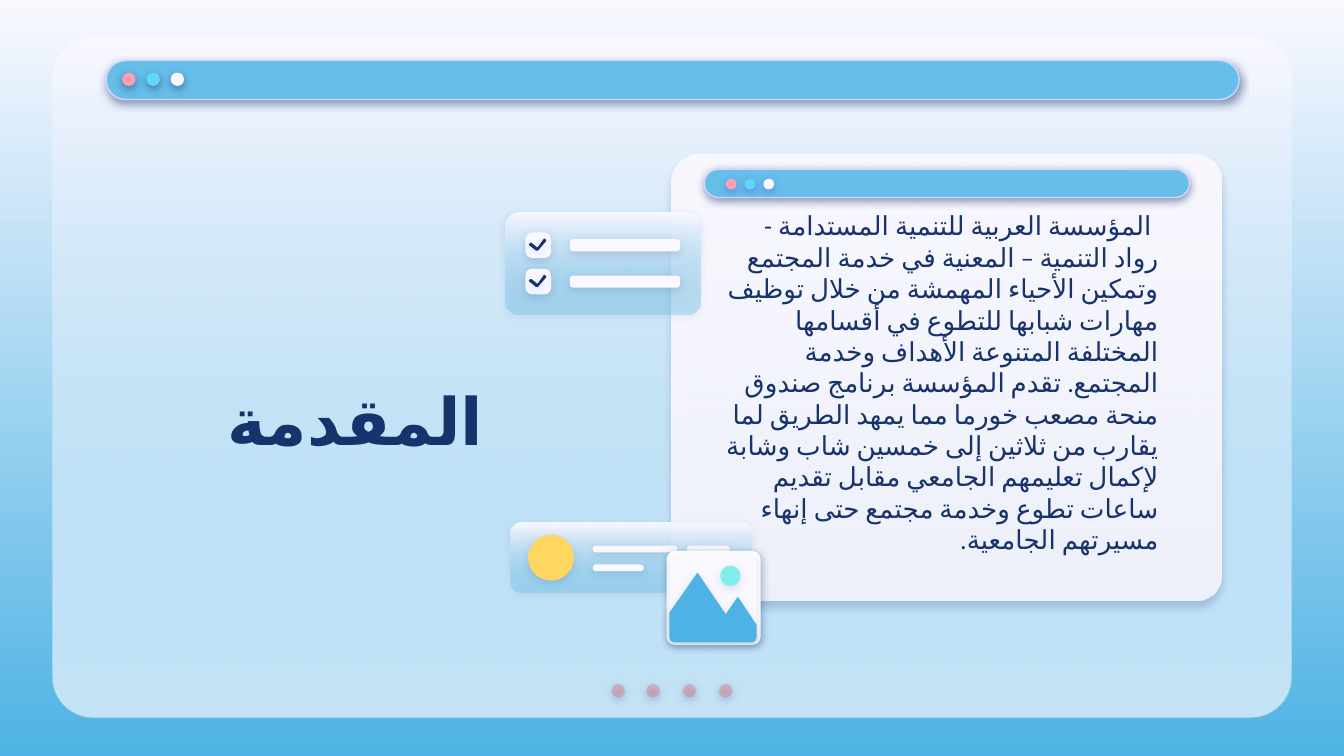
import pptx
import pptx.dml.color
import pptx.enum.lang
import pptx.enum.shapes
import pptx.enum.text
import pptx.oxml.ns
import pptx.util
from lxml import etree

PX = 9144  # EMU in one px, 100 px to the inch
RGB = pptx.dml.color.RGBColor
PALE = RGB(0xF9, 0xF8, 0xFF)
WHITE = RGB(0xFF, 0xFF, 0xFF)
BLUE = RGB(0x4E, 0xB3, 0xE4)
SKY = RGB(0x66, 0xBE, 0xE9)
NAVY = RGB(0x17, 0x33, 0x6B)
VIOLET = RGB(0x53, 0x52, 0xEE)
LILAC = RGB(0xD2, 0xD6, 0xFF)
PINK = RGB(0xFD, 0xA0, 0xB4)
ROSE = RGB(0xE2, 0x7B, 0x83)
CYAN = RGB(0x60, 0xD8, 0xF4)
MINT = RGB(0x81, 0xEE, 0xEB)
GOLD = RGB(0xFF, 0xD6, 0x5F)
ROUND = pptx.enum.shapes.MSO_SHAPE.ROUNDED_RECTANGLE
OVAL = pptx.enum.shapes.MSO_SHAPE.OVAL
ALIGN = pptx.enum.text.PP_ALIGN
qn = pptx.oxml.ns.qn
Pt = pptx.util.Pt

deck = pptx.Presentation()
deck.slide_width = 1000 * PX
deck.slide_height = deck.slide_width * 9 // 16
slide = deck.slides.add_slide(deck.slide_layouts[5])
shapes = slide.shapes


def paint(shape, color, end=None, alpha=100, line=None, shade=0,
          tint=NAVY, dist=1.5, angle=90):
    """Fill a shape (down to end, if given); alpha and shade are opacities in percent."""
    fill = shape.fill
    if end is None:
        fill.solid()
        fill.fore_color.rgb = color
    else:
        fill.gradient()
        fill.gradient_angle = 270
        for stop, rgb, place in zip(fill.gradient_stops, (color, end), (0, 1)):
            stop.color.rgb = rgb
            stop.position = place
    if alpha < 100:
        last = list(shape._element.spPr.iter(qn("a:srgbClr")))[-1]
        etree.SubElement(last, qn("a:alpha"), val=str(alpha * 1000))
    if line is None:
        shape.line.fill.background()
    else:
        shape.line.color.rgb = line
        shape.line.width = Pt(0.75)
    shape.shadow.inherit = False
    if shade:
        effects = shape._element.spPr.find(qn("a:effectLst"))
        outer = etree.SubElement(
            effects, qn("a:outerShdw"), blurRad=str(Pt(4.5)), dist=str(Pt(dist)),
            dir=str(angle * 60000), algn="bl", rotWithShape="0")
        clr = etree.SubElement(outer, qn("a:srgbClr"), val=str(tint))
        etree.SubElement(clr, qn("a:alpha"), val=str(shade * 1000))


def put(kind, x, y, w, h, color, adj=None, **look):
    shape = shapes.add_shape(kind, x * PX, y * PX, w * PX, h * PX)
    if adj is not None:
        shape.adjustments[0] = adj
    paint(shape, color, **look)


# Backdrop and window frame
back = slide.background.fill
back.gradient()
back.gradient_angle = 270
for stop, rgb, place in zip(back.gradient_stops, (PALE, BLUE), (0, 1)):
    stop.color.rgb = rgb
    stop.position = place

put(ROUND, 39, 28, 922, 506, PALE, 0.06)
put(ROUND, 39, 28, 922, 506, PALE, 0.06, end=SKY, alpha=35)
for i in range(4):
    put(OVAL, 455 + i * 80 // 3, 509, 10, 10, ROSE, alpha=44, shade=50)

# Title
title = shapes.title
shapes._spTree.append(title._element)
title.left, title.top, title.width, title.height = 159 * PX, 234 * PX, 289 * PX, 156 * PX

# Text card, then the title bars of the window and the card
put(ROUND, 500, 115, 409, 332, PALE, 0.06, end=PALE, alpha=87,
    shade=22, dist=3.8, angle=91)
bars = [
    (79, 45, 843, 29, 91, 54, 18, 10, NAVY),
    (524, 126, 361, 21, 540, 133, 14, 8, VIOLET),
]
for x, y, w, h, left, top, step, size, tint in bars:
    put(ROUND, x, y, w, h, SKY, 0.5, line=LILAC, shade=50)
    for i, color in enumerate((PINK, CYAN, PALE)):
        put(OVAL, left + i * step, top, size, size, color, shade=50, tint=tint)

# Text
body = shapes.add_textbox(528 * PX, 155 * PX, 394 * PX, 271 * PX)
words = (
    "المؤسسة العربية للتنمية المستدامة - رواد التنمية – المعنية في خدمة المجتمع "
    "وتمكين الأحياء المهمشة من خلال توظيف مهارات شبابها للتطوع في أقسامها المختلفة "
    "المتنوعة الأهداف وخدمة المجتمع. تقدم المؤسسة برنامج صندوق منحة مصعب خورما مما "
    "يمهد الطريق لما يقارب من ثلاثين إلى خمسين شاب وشابة لإكمال تعليمهم الجامعي "
    "مقابل تقديم ساعات تطوع وخدمة مجتمع حتى إنهاء مسيرتهم الجامعية."
)
texts = [
    (title, "المقدمة", "Roboto", 35, True, ALIGN.LEFT, 10),
    (body, words, "Calibri", 14, False, ALIGN.RIGHT, 22),
]
for box, text, face, size, bold, align, foot in texts:
    frame = box.text_frame
    frame.word_wrap = True
    frame.auto_size = pptx.enum.text.MSO_AUTO_SIZE.NONE
    frame.vertical_anchor = pptx.enum.text.MSO_ANCHOR.MIDDLE
    frame.margin_left = frame.margin_right = frame.margin_top = 10 * PX
    frame.margin_bottom = foot * PX
    para = frame.paragraphs[0]
    para.alignment = align
    run = para.add_run()
    run.text = text
    run.font.name, run.font.size, run.font.bold = face, Pt(size), bold
    run.font.color.rgb = NAVY
    run.font.language_id = pptx.enum.lang.MSO_LANGUAGE_ID.ARABIC
    etree.SubElement(run._r.get_or_add_rPr(), qn("a:cs"), typeface=face)
props = body.text_frame.paragraphs[0]._p.get_or_add_pPr()
props.set("marL", str(50 * PX))
props.set("indent", str(5 * PX))
props.set("rtl", "1")

# Checklist
put(ROUND, 376, 158, 145, 76, PALE, 0.13, end=SKY, alpha=35, shade=15)
for y in (173, 200):
    put(ROUND, 424, y + 5, 82, 9, PALE, 0.28, shade=15)
    put(ROUND, 391, y, 19, 19, PALE, 0.26, shade=15)
    pen = shapes.build_freeform(405, y + 5, scale=PX)
    pen.add_line_segments([(406, y + 6), (400, y + 13), (399, y + 13),
                           (394, y + 9), (395, y + 8), (400, y + 12)])
    paint(pen.convert_to_shape(), NAVY, line=NAVY, shade=15, tint=VIOLET)

# Profile strip
put(ROUND, 380, 389, 179, 52, PALE, 0.15, end=SKY, alpha=35, shade=13)
put(OVAL, 393, 398, 34, 34, GOLD, shade=13)
for x, y, w in ((441, 406, 63), (511, 406, 32), (441, 420, 38)):
    put(ROUND, x, y, w, 5, PALE, 0.5, shade=13)

# Photo tile
put(ROUND, 496, 410, 70, 70, WHITE, 0.09, shade=33, angle=64)
put(ROUND, 498, 413, 65, 65, PALE, 0.06, shade=13)
pen = shapes.build_freeform(519, 426, scale=PX)
pen.add_line_segments([(498, 456), (498, 474), (499, 477), (502, 478), (559, 478),
                       (562, 477), (563, 474), (563, 465), (549, 444), (540, 457)])
paint(pen.convert_to_shape(), BLUE, shade=13)
put(OVAL, 536, 421, 15, 15, MINT, shade=13)

deck.save("out.pptx")
